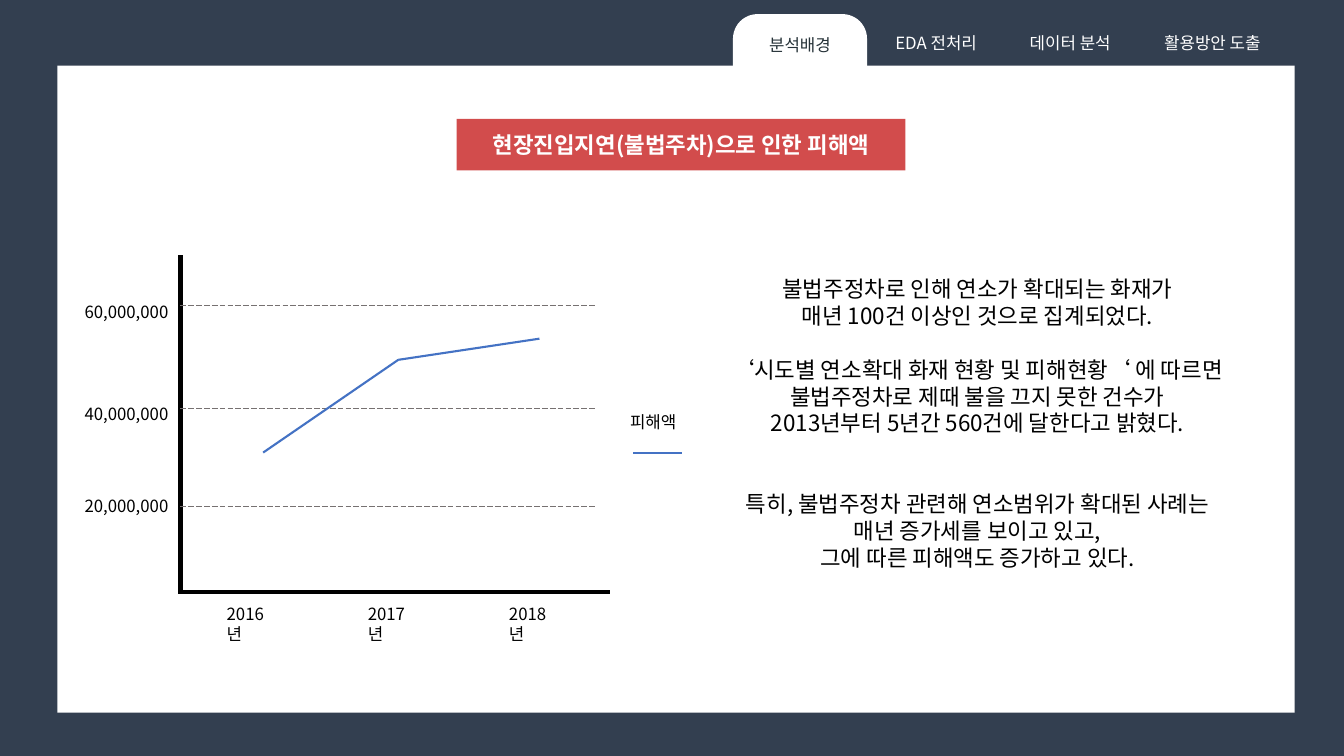
from itertools import pairwise

from pptx import Presentation
from pptx.dml.color import RGBColor
from pptx.enum.dml import MSO_LINE
from pptx.enum.shapes import MSO_CONNECTOR, MSO_SHAPE
from pptx.enum.text import MSO_ANCHOR, MSO_AUTO_SIZE, PP_ALIGN
from pptx.oxml.xmlchemy import OxmlElement
from pptx.util import Inches, Pt

FONT = "Noto Sans CJK KR"
NAVY = RGBColor(0x33, 0x3F, 0x50)
WHITE = RGBColor(0xFF, 0xFF, 0xFF)
BLACK = RGBColor(0x00, 0x00, 0x00)
GRAY = RGBColor(0x76, 0x71, 0x71)
BLUE = RGBColor(0x44, 0x72, 0xC4)
RED = RGBColor(0xC0, 0x00, 0x00)
DARK = RGBColor(0x26, 0x32, 0x38)


def style_text(frame, size, color, align=PP_ALIGN.CENTER, bold=False):
    frame.word_wrap = True
    frame.auto_size = MSO_AUTO_SIZE.NONE
    for para in frame.paragraphs:
        para.alignment = align
        para.line_spacing = Pt(size * 1.2)
        for span in para.runs:
            span.font.name = FONT
            span.font.size = Pt(size)
            span.font.bold = bold
            span.font.color.rgb = color
            east_asian = OxmlElement("a:ea")
            east_asian.set("typeface", FONT)
            span.font._element.find("{*}latin").addnext(east_asian)


def draw_line(start, end, color, width):
    points = [Inches(value) for value in (*start, *end)]
    line = slide.shapes.add_connector(MSO_CONNECTOR.STRAIGHT, *points)
    line.line.color.rgb = color
    line.line.width = Pt(width)
    line._element.spPr.append(OxmlElement("a:effectLst"))
    return line


deck = Presentation()
deck.slide_width, deck.slide_height = Inches(13.33), Inches(7.5)
slide = deck.slides.add_slide(deck.slide_layouts[1])
slide.background.fill.solid()
slide.background.fill.fore_color.rgb = NAVY

# White page panel, behind the placeholders
panel = slide.shapes.add_shape(
    MSO_SHAPE.RECTANGLE, Inches(0.57), Inches(0.65), Inches(12.27), Inches(6.42))
panel.shadow.inherit = False
panel.fill.solid()
panel.fill.fore_color.rgb = WHITE
panel.line.fill.background()
slide.shapes._spTree.insert(2, panel._element)

# Title on a translucent red band
title = slide.shapes.title
title.left, title.top = Inches(4.53), Inches(1.18)
title.width, title.height = Inches(4.45), Inches(0.51)
title.fill.solid()
title.fill.fore_color.rgb = RED
alpha = OxmlElement("a:alpha")
alpha.set("val", "70000")
title._element.spPr.find("{*}solidFill/{*}srgbClr").append(alpha)
title.text_frame.text = "현장진입지연(불법주차)으로 인한 피해액"
title.text_frame.vertical_anchor = MSO_ANCHOR.MIDDLE
style_text(title.text_frame, 16, WHITE, bold=True)

# Findings: text and the number of line heights left above it
findings = [
    ("불법주정차로 인해 연소가 확대되는 화재가", 0),
    ("매년 100건 이상인 것으로 집계되었다.", 0),
    ("‘시도별 연소확대 화재 현황 및 피해현황‘ 에 따르면", 1),
    ("불법주정차로 제때 불을 끄지 못한 건수가", 0),
    ("2013년부터 5년간 560건에 달한다고 밝혔다.", 0),
    ("특히, 불법주정차 관련해 연소범위가 확대된 사례는", 2),
    ("매년 증가세를 보이고 있고,", 0),
    ("그에 따른 피해액도 증가하고 있다.", 0),
]
body = slide.placeholders[1]
body.left, body.top = Inches(6.6), Inches(2.68)
body.width, body.height = Inches(6.19), Inches(3.06)
body.text_frame.text = "\n".join(text for text, _ in findings)
body.text_frame.vertical_anchor = MSO_ANCHOR.TOP
for para, (_, gap) in zip(body.text_frame.paragraphs, findings):
    properties = para._p.get_or_add_pPr()
    properties.set("marL", "0")
    properties.set("indent", "0")
    properties.append(OxmlElement("a:buNone"))
    para.space_before = Pt(gap * 19.2)
style_text(body.text_frame, 16, BLACK)

# Chart axes and dashed grid
draw_line((1.78, 5.87), (6.05, 5.87), BLACK, 3)
draw_line((1.79, 2.53), (1.79, 5.89), BLACK, 3)
for grid_y in (5.02, 4.05, 3.03):
    grid_line = draw_line((1.79, grid_y), (5.9, grid_y), GRAY, 0.5)
    grid_line.line.dash_style = MSO_LINE.LONG_DASH

# Axis and legend labels: text, left, top, width
labels = [(f"{2016 + i}년", 2.15 + 1.4 * i, 5.94, 0.7) for i in range(3)]
labels += [
    ("20,000,000", 0.74, 4.87, 1.07),
    ("40,000,000", 0.74, 3.96, 1.07),
    ("60,000,000", 0.74, 2.94, 1.07),
    ("피해액", 6.15, 4.04, 0.71),
]
for text, left, top, width in labels:
    box = slide.shapes.add_textbox(
        Inches(left), Inches(top), Inches(width), Inches(0.3))
    box.text_frame.text = text
    style_text(box.text_frame, 12, BLACK, PP_ALIGN.LEFT)

# Damage line and its legend key
for start, end in pairwise([(2.61, 4.49), (3.95, 3.57), (5.35, 3.36)]):
    draw_line(start, end, BLUE, 1.5)
draw_line((6.28, 4.49), (6.76, 4.49), BLUE, 1.5)

# Navigation tabs: text, left, top, width, active
tabs = [
    ("분석배경", 7.27, 0.14, 1.33, True),
    ("EDA 전처리", 8.62, 0.12, 1.33, False),
    ("데이터 분석", 9.95, 0.12, 1.33, False),
    ("활용방안 도출", 11.27, 0.12, 1.51, False),
]
for text, left, top, width, active in tabs:
    tab = slide.shapes.add_shape(
        MSO_SHAPE.ROUND_2_SAME_RECTANGLE,
        Inches(left), Inches(top), Inches(width), Inches(0.53))
    tab.adjustments[0] = 0.46
    tab.shadow.inherit = False
    tab.line.fill.background()
    if active:
        tab.fill.solid()
        tab.fill.fore_color.rgb = WHITE
    else:
        tab.fill.background()
    tab.text_frame.text = text
    tab.text_frame.vertical_anchor = MSO_ANCHOR.MIDDLE
    style_text(tab.text_frame, 12, DARK if active else WHITE)

deck.save("out.pptx")
